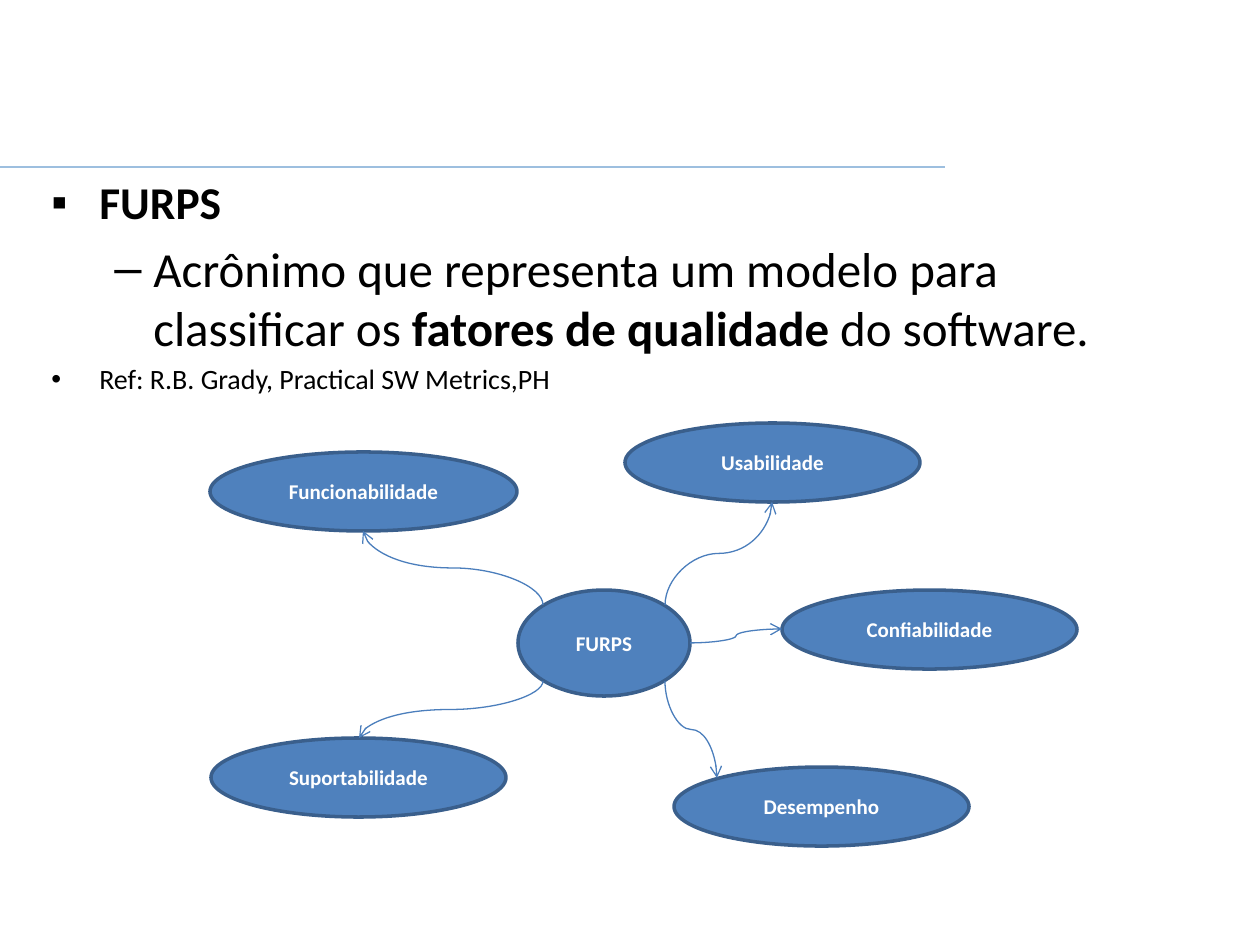
from lxml.etree import SubElement
from pptx import Presentation
from pptx.dml.color import RGBColor
from pptx.enum.shapes import MSO_CONNECTOR as LINK, MSO_SHAPE as SHAPE
from pptx.enum.text import MSO_ANCHOR as ANCHOR, PP_ALIGN as ALIGN
from pptx.oxml.ns import qn
from pptx.util import Emu, Pt


def px(value):
    return Emu(round(value * 914400 / 126))


def color(value):
    return RGBColor.from_string(value)


deck = Presentation()
deck.slide_width, deck.slide_height = px(1260), px(945)
page = deck.slides.add_slide(deck.slide_layouts[6])

rule = page.shapes.add_connector(LINK.STRAIGHT, 0, px(167), px(945), px(167))
rule.line.color.rgb = color("9DBFDF")
rule.line.width = Pt(0.75)
SubElement(rule._element.spPr, qn("a:effectLst"))

box = page.shapes.add_textbox(px(39), px(168), px(1172), px(266))
frame = box.text_frame
frame.word_wrap = True
paragraphs = [
    ("▪", 48, -48, 26, ALIGN.LEFT, 0, [("FURPS", True)]),
    ("–", 102, -39, 28, ALIGN.LEFT, 5.6, [
        ("Acrônimo que representa um modelo para classificar os ", False),
        ("fatores de qualidade", True),
        (" do software.", False),
    ]),
    ("•", 48, -48, 16, ALIGN.JUSTIFY, 3.2,
     [("Ref: R.B. Grady, Practical SW Metrics,PH", False)]),
]
for index, (bullet, margin, indent, size, align, before, spans) in enumerate(paragraphs):
    para = frame.paragraphs[0] if index == 0 else frame.add_paragraph()
    para.alignment = align
    para.space_before = Pt(before)
    properties = para._p.get_or_add_pPr()
    properties.set("marL", str(px(margin)))
    properties.set("indent", str(px(indent)))
    SubElement(properties, qn("a:buFont")).set("typeface", "Arial")
    SubElement(properties, qn("a:buChar")).set("char", bullet)
    for text, bold in spans:
        span = para.add_run()
        span.text = text
        span.font.color.rgb = color("000000")
        for name, value in {"name": "Calibri", "size": Pt(size), "bold": bold}.items():
            setattr(span.font, name, value)

factors = [
    ("Funcionabilidade", 210, 452, 307, 79),
    ("FURPS", 518, 590, 172, 106),
    ("Usabilidade", 625, 423, 295, 79),
    ("Suportabilidade", 211, 738, 295, 79),
    ("Confiabilidade", 782, 590, 295, 79),
    ("Desempenho", 674, 767, 295, 79),
]
for label, left, top, width, height in factors:
    ellipse = page.shapes.add_shape(SHAPE.OVAL, px(left), px(top), px(width), px(height))
    ellipse.shadow.inherit = False
    ellipse.fill.solid()
    ellipse.fill.fore_color.rgb = color("4F81BD")
    ellipse.line.color.rgb = color("3A5F8C")
    ellipse.line.width = Pt(2)
    ellipse.text_frame.vertical_anchor = ANCHOR.MIDDLE
    para = ellipse.text_frame.paragraphs[0]
    para.alignment = ALIGN.CENTER
    span = para.add_run()
    span.text = label
    span.font.color.rgb = color("FFFFFF")
    for name, value in {"name": "Calibri", "size": Pt(12), "bold": True}.items():
        setattr(span.font, name, value)

arrows = [
    (543, 605, 363, 531, True),
    (665, 605, 772, 502, True),
    (690, 643, 782, 629, False),
    (665, 681, 717, 778, True),
    (543, 681, 359, 738, True),
]
for x1, y1, x2, y2, upright in arrows:
    ends = (x1, y1, x2, y2)
    if upright:
        across, down = x2 - x1, y2 - y1
        middle_x, middle_y = (x1 + x2) / 2, (y1 + y2) / 2
        half_width = abs(down) / 2 * (1 if across > 0 else -1)
        half_height = abs(across) / 2 * (1 if down < 0 else -1)
        ends = (middle_x + half_width, middle_y + half_height,
                middle_x - half_width, middle_y - half_height)
    arrow = page.shapes.add_connector(LINK.CURVE, *map(px, ends))
    if upright:
        turn = 270 if across * down > 0 else 90
        arrow._element.spPr.xfrm.set("rot", str(turn * 60000))
    arrow.line.color.rgb = color("4B7EBC")
    arrow.line.width = Pt(0.75)
    SubElement(arrow.line._get_or_add_ln(), qn("a:tailEnd")).set("type", "arrow")
    SubElement(arrow._element.spPr, qn("a:effectLst"))

deck.save("out.pptx")
